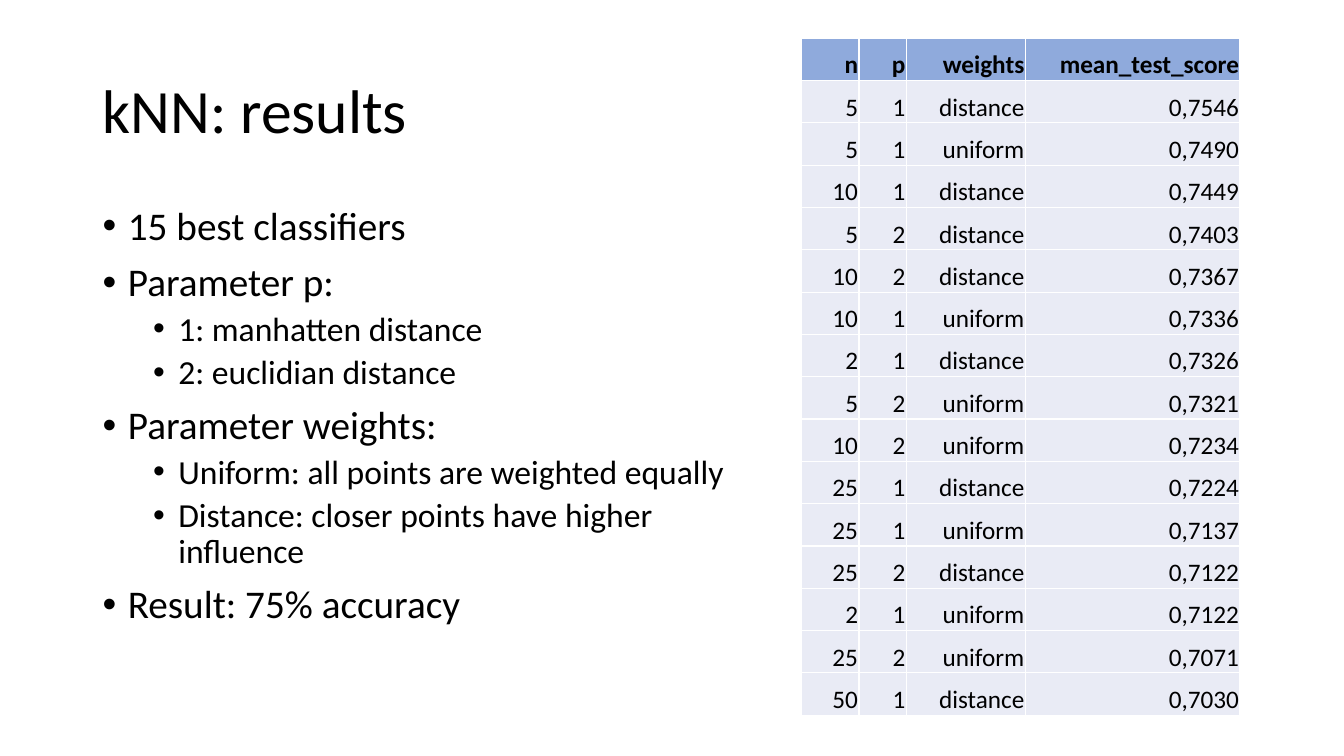
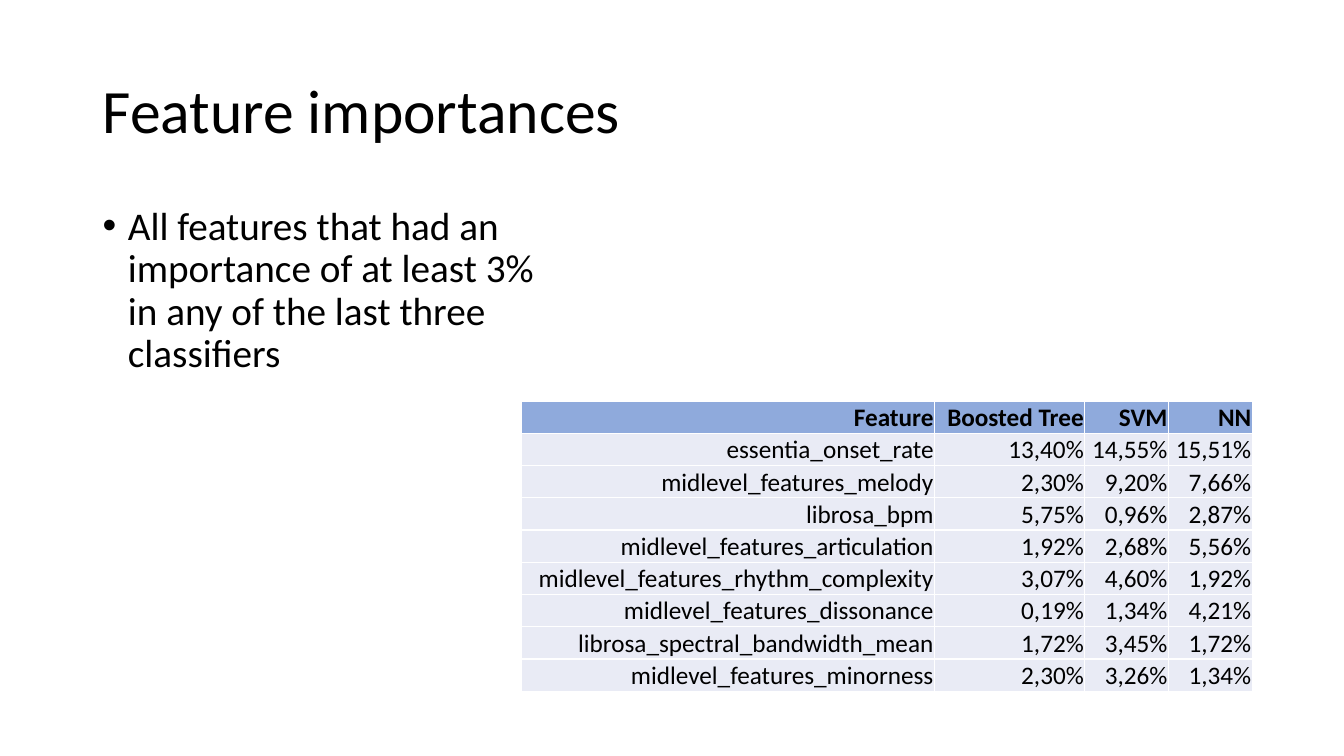
from lxml import etree
from pptx import Presentation
from pptx.dml.color import RGBColor
from pptx.enum.text import MSO_ANCHOR, PP_ALIGN
from pptx.oxml.ns import qn
from pptx.util import Inches, Pt

TOP, MIDDLE, BOTTOM = MSO_ANCHOR.TOP, MSO_ANCHOR.MIDDLE, MSO_ANCHOR.BOTTOM
RIGHT = PP_ALIGN.RIGHT

# Shared style
FONT = "Calibri"
BLACK, WHITE = "000000", "FFFFFF"
HEADER_FILL, BODY_FILL = "8FAADC", "E9EBF5"
LEFT = 0.92
BODY_TOP, BODY_HEIGHT = 2, 4.76
TITLE_SIZE, CELL_SIZE = 44, 18
BULLET_LEVELS = [
    {"size": 28, "before": 10, "indent": 0.25},
    {"size": 24, "before": 5, "indent": 0.75},
]
CELL_FORMAT = {
    "margin_left": Inches(0.01),
    "margin_right": Inches(0.01),
    "margin_top": Inches(0.01),
    "margin_bottom": 0,
    "vertical_anchor": BOTTOM,
}


def rgb(value):
    return RGBColor.from_string(value)


def apply(target, formats):
    for name, value in formats.items():
        setattr(target, name, value)


class Deck:
    def __init__(self):
        self.prs = Presentation()
        self.prs.slide_width = Inches(13.33)
        self.prs.slide_height = Inches(7.5)
        self.s = None

    def slide(self, title):
        self.s = self.prs.slides.add_slide(self.prs.slide_layouts[6])
        tf = self.text_frame(LEFT, 0.4, 11.5, 1.45, MIDDLE)
        p = tf.paragraphs[0]
        p.line_spacing = 0.9
        self.run(p, title, TITLE_SIZE)

    def text_frame(self, x, y, w, h, anchor):
        box = self.s.shapes.add_textbox(Inches(x), Inches(y), Inches(w), Inches(h))
        tf = box.text_frame
        apply(tf, {"word_wrap": True, "vertical_anchor": anchor})
        return tf

    def run(self, p, text, size, bold=False):
        r = p.add_run()
        r.text = text
        apply(r.font, {"name": FONT, "size": Pt(size), "bold": bold})
        r.font.color.rgb = rgb(BLACK)

    def bullets(self, width, items):
        tf = self.text_frame(LEFT, BODY_TOP, width, BODY_HEIGHT, TOP)
        for i, (level, text) in enumerate(items):
            style = BULLET_LEVELS[level]
            p = tf.add_paragraph() if i else tf.paragraphs[0]
            apply(p, {"level": level, "line_spacing": 0.9,
                      "space_before": Pt(style["before"])})
            pPr = p._p.get_or_add_pPr()
            pPr.set("marL", str(Inches(style["indent"])))
            pPr.set("indent", str(-Inches(0.25)))
            etree.SubElement(pPr, qn("a:buFont"), typeface="Arial")
            etree.SubElement(pPr, qn("a:buChar"), char="•")
            self.run(p, text, style["size"])

    def table(self, x, y, widths, row_height, rows):
        frame = self.s.shapes.add_table(
            len(rows), len(widths), Inches(x), Inches(y),
            Inches(sum(widths)), Inches(row_height * len(rows)))
        table = frame.table
        for column, width in zip(table.columns, widths):
            column.width = Inches(width)
        for i, values in enumerate(rows):
            table.rows[i].height = Inches(row_height)
            for j, value in enumerate(values):
                self.cell(table.cell(i, j), value, header=i == 0)

    def cell(self, cell, text, header):
        apply(cell, CELL_FORMAT)
        cell.fill.solid()
        cell.fill.fore_color.rgb = rgb(HEADER_FILL if header else BODY_FILL)
        p = cell.text_frame.paragraphs[0]
        p.alignment = RIGHT
        self.run(p, text, CELL_SIZE, bold=header)
        # Borders come before the fill in the cell properties
        tcPr = cell._tc.get_or_add_tcPr()
        for i, side in enumerate(("lnL", "lnR", "lnT", "lnB")):
            ln = etree.Element(qn("a:" + side), w=str(Pt(1)))
            fill = etree.SubElement(ln, qn("a:solidFill"))
            etree.SubElement(fill, qn("a:srgbClr"), val=WHITE)
            tcPr.insert(i, ln)


deck = Deck()

# Slide 1: kNN results
deck.slide("kNN: results")
deck.table(7.95, 0.38, [0.57, 0.47, 1.18, 2.13], 0.42, [
    ("n", "p", "weights", "mean_test_score"),
    ("5", "1", "distance", "0,7546"),
    ("5", "1", "uniform", "0,7490"),
    ("10", "1", "distance", "0,7449"),
    ("5", "2", "distance", "0,7403"),
    ("10", "2", "distance", "0,7367"),
    ("10", "1", "uniform", "0,7336"),
    ("2", "1", "distance", "0,7326"),
    ("5", "2", "uniform", "0,7321"),
    ("10", "2", "uniform", "0,7234"),
    ("25", "1", "distance", "0,7224"),
    ("25", "1", "uniform", "0,7137"),
    ("25", "2", "distance", "0,7122"),
    ("2", "1", "uniform", "0,7122"),
    ("25", "2", "uniform", "0,7071"),
    ("50", "1", "distance", "0,7030"),
])
deck.bullets(6.52, [
    (0, "15 best classifiers"),
    (0, "Parameter p:"),
    (1, "1: manhatten distance"),
    (1, "2: euclidian distance"),
    (0, "Parameter weights:"),
    (1, "Uniform: all points are weighted equally"),
    (1, "Distance: closer points have higher influence"),
    (0, "Result: 75% accuracy"),
])

# Slide 2: feature importances
deck.slide("Feature importances")
deck.bullets(4.48, [
    (0, "All features that had an importance of at least 3% "
        "in any of the last three classifiers"),
])
deck.table(5.17, 3.98, [4.1, 1.49, 0.83, 0.83], 0.32, [
    ("Feature", "Boosted Tree", "SVM", "NN"),
    ("essentia_onset_rate", "13,40%", "14,55%", "15,51%"),
    ("midlevel_features_melody", "2,30%", "9,20%", "7,66%"),
    ("librosa_bpm", "5,75%", "0,96%", "2,87%"),
    ("midlevel_features_articulation", "1,92%", "2,68%", "5,56%"),
    ("midlevel_features_rhythm_complexity", "3,07%", "4,60%", "1,92%"),
    ("midlevel_features_dissonance", "0,19%", "1,34%", "4,21%"),
    ("librosa_spectral_bandwidth_mean", "1,72%", "3,45%", "1,72%"),
    ("midlevel_features_minorness", "2,30%", "3,26%", "1,34%"),
])

deck.prs.save("out.pptx")
